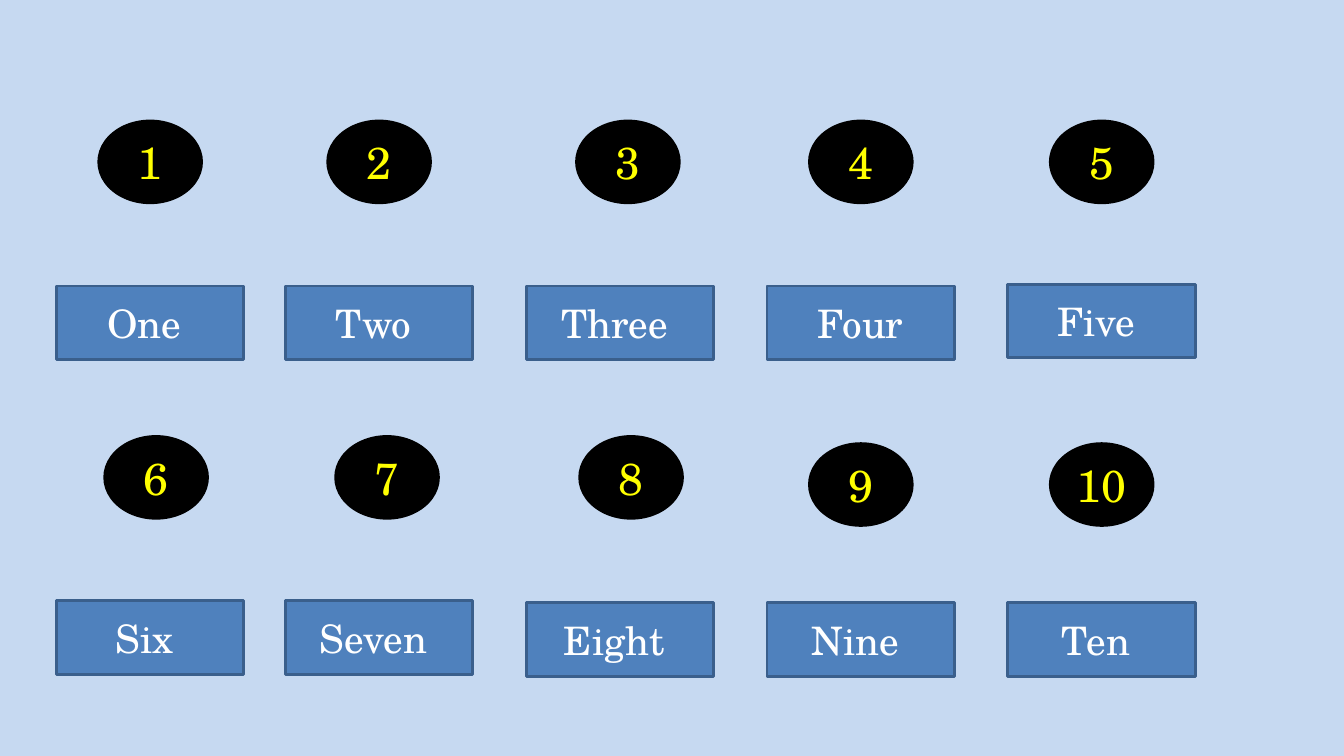
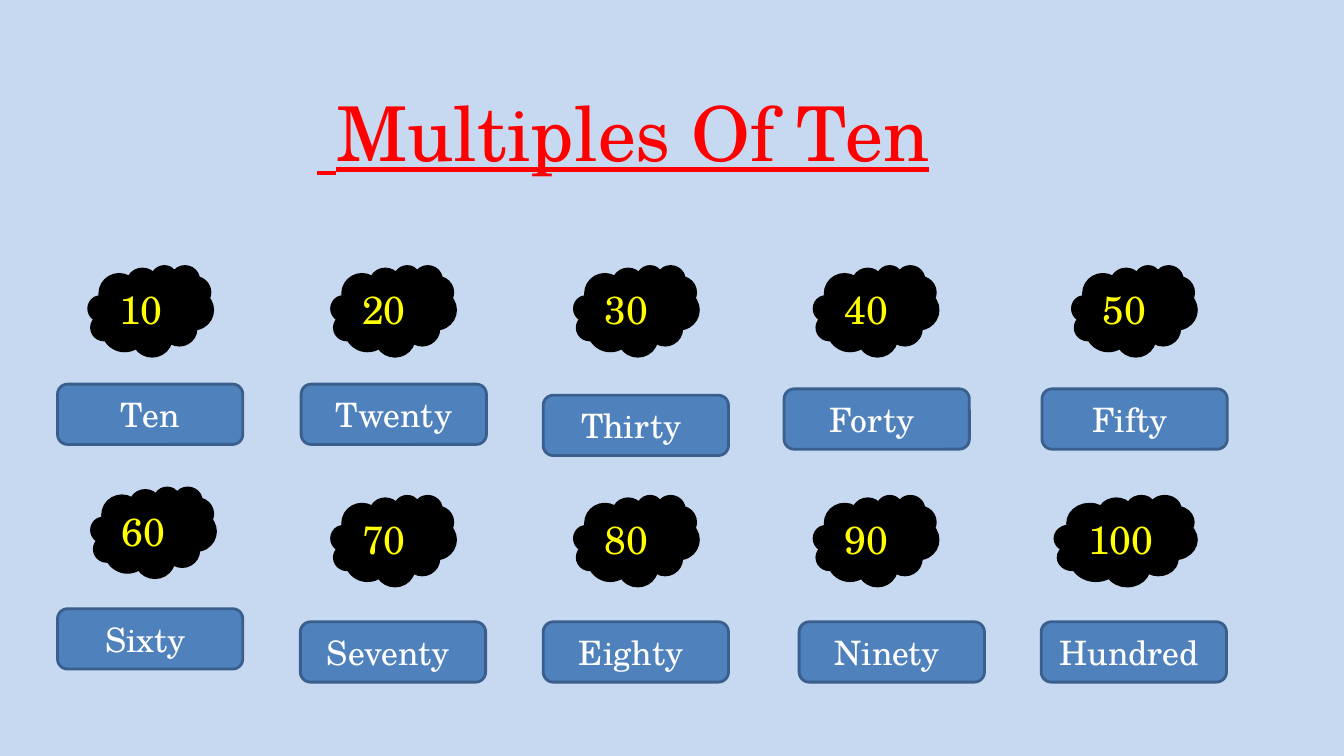
"""Build two vocabulary slides that pair numbers with their names."""
from dataclasses import dataclass, replace

from pptx import Presentation
from pptx.dml.color import RGBColor
from pptx.enum.shapes import MSO_SHAPE
from pptx.enum.text import MSO_ANCHOR, PP_ALIGN
from pptx.util import Cm, Pt


@dataclass(frozen=True)
class Theme:
    """Colours, font and type sizes of the deck."""
    font: str = "TeX Gyre Schola"
    background: str = "C6D9F1"
    badge: str = "000000"
    label: str = "4F81BD"
    label_edge: str = "3A5F8C"
    number: str = "FFFF00"
    word: str = "FFFFFF"
    title: str = "FF0000"
    title_size: int = 54
    large: int = 32
    medium: int = 28
    small: int = 24


@dataclass(frozen=True)
class Look:
    """Outline, size in cm and colours of one kind of shape."""
    shape: MSO_SHAPE
    width: float
    height: float
    fill: str
    edge: str
    color: str
    size: int


class Deck:
    """Presentation with a theme and a current slide."""

    def __init__(self, theme):
        """Create an empty widescreen deck with the shared background."""
        self.theme = theme
        self.prs = Presentation()
        self.prs.slide_width, self.prs.slide_height = Cm(33.87), Cm(19.05)
        fill = self.prs.slide_master.background.fill
        fill.solid()
        fill.fore_color.rgb = RGBColor.from_string(theme.background)

    def new_slide(self, layout):
        """Start a slide from the layout of that name."""
        self.s = self.prs.slides.add_slide(self.prs.slide_layouts.get_by_name(layout))

    def caption(self, tf, text, color, size):
        """Put one centred run into a text frame."""
        tf.word_wrap = True
        tf.vertical_anchor = MSO_ANCHOR.MIDDLE
        p = tf.paragraphs[0]
        p.alignment = PP_ALIGN.CENTER
        r = p.add_run()
        r.text = text
        r.font.name = self.theme.font
        r.font.size = Pt(size)
        r.font.color.rgb = RGBColor.from_string(color)
        return p, r

    def title(self, text):
        """Fill the title with underlined right-to-left text."""
        sp = self.s.shapes.title
        sp.left, sp.top, sp.width, sp.height = Cm(3.86), Cm(1.22), Cm(23.7), Cm(4.19)
        p, r = self.caption(sp.text_frame, text, self.theme.title, self.theme.title_size)
        p._p.get_or_add_pPr().set("rtl", "1")
        r.font.underline = True

    def shape(self, look, text, left, top):
        """Draw one captioned shape."""
        sp = self.s.shapes.add_shape(
            look.shape, Cm(left), Cm(top), Cm(look.width), Cm(look.height))
        sp.shadow.inherit = False
        sp.fill.solid()
        sp.fill.fore_color.rgb = RGBColor.from_string(look.fill)
        sp.line.color.rgb = RGBColor.from_string(look.edge)
        sp.line.width = Pt(2)
        self.caption(sp.text_frame, text, look.color, look.size)

    def row(self, look, texts, lefts, tops):
        """Draw a row of shapes of one look."""
        for text, left, top in zip(texts, lefts, tops):
            self.shape(look, text, left, top)


def units(deck):
    """Build the slide with the numbers one to ten."""
    t = deck.theme
    badge = Look(MSO_SHAPE.OVAL, 2.59, 2.06, t.badge, t.badge, t.number, t.large)
    label = Look(MSO_SHAPE.RECTANGLE, 4.72, 1.85, t.label, t.label_edge, t.word, t.medium)
    columns = [1.42, 7.19, 13.26, 19.33, 25.4]
    deck.new_slide("Blank")
    deck.row(badge, map(str, range(1, 6)), [2.49, 8.26, 14.53, 20.4, 26.47], [3.05] * 5)
    deck.row(label, ["One ", "Two ", "Three ", "Four", "Five "],
             columns, [7.21] * 4 + [7.16])
    deck.row(badge, map(str, range(6, 11)), [2.64, 8.46, 14.61, 20.4, 26.47],
             [11] * 3 + [11.18] * 2)
    deck.row(label, ["Six ", "Seven ", "Eight ", "Nine ", "Ten "],
             columns, [15.14] * 2 + [15.19] * 3)


def tens(deck):
    """Build the slide with the multiples of ten."""
    t = deck.theme
    cloud = Look(MSO_SHAPE.CLOUD, 3.12, 2.26, t.badge, t.badge, t.number, t.medium)
    label = Look(MSO_SHAPE.ROUNDED_RECTANGLE, 4.67, 1.52,
                 t.label, t.label_edge, t.word, t.small)
    numbers = [f"{n} " for n in range(10, 101, 10)]
    deck.new_slide("Title Only")
    deck.title("Multiples Of Ten ")
    deck.row(cloud, numbers[:5], [2.24, 8.36, 14.48, 20.52, 27.03], [6.71] * 5)
    deck.row(label, ["Ten", "Twenty", "Thirty ", "Forty ", "Fifty "],
             [1.45, 7.59, 13.69, 19.76, 26.26], [9.68, 9.68, 9.96, 9.8, 9.8])
    deck.row(cloud, numbers[5:9], [2.31, 8.36, 14.48, 20.52], [12.29] + [12.5] * 3)
    deck.shape(replace(cloud, width=3.56), numbers[9], 26.59, 12.5)
    deck.row(label, ["Sixty ", "Seventy ", "Eighty ", "Ninety ", "Hundred "],
             [1.45, 7.57, 13.69, 20.14, 26.24], [15.34] + [15.67] * 4)


def main():
    """Build and save the deck."""
    deck = Deck(Theme())
    units(deck)
    tens(deck)
    deck.prs.save("out.pptx")


if __name__ == "__main__":
    main()
